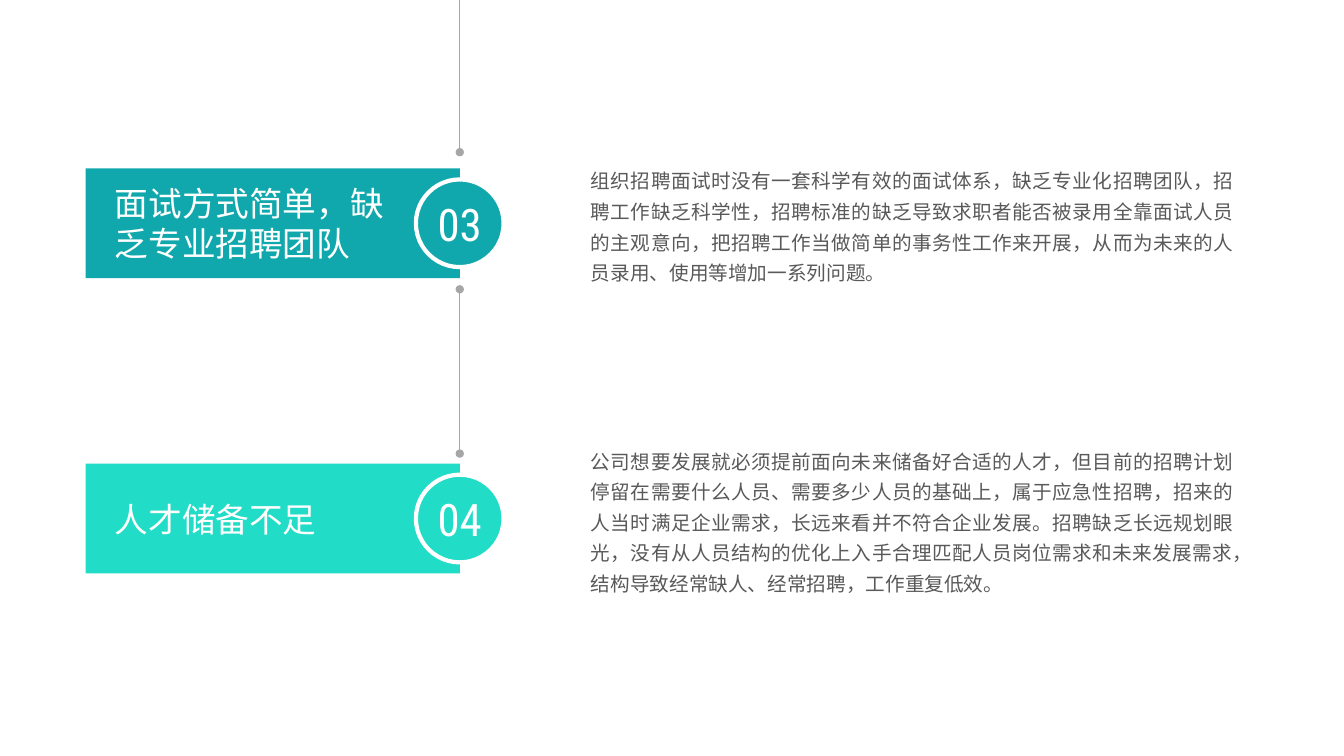
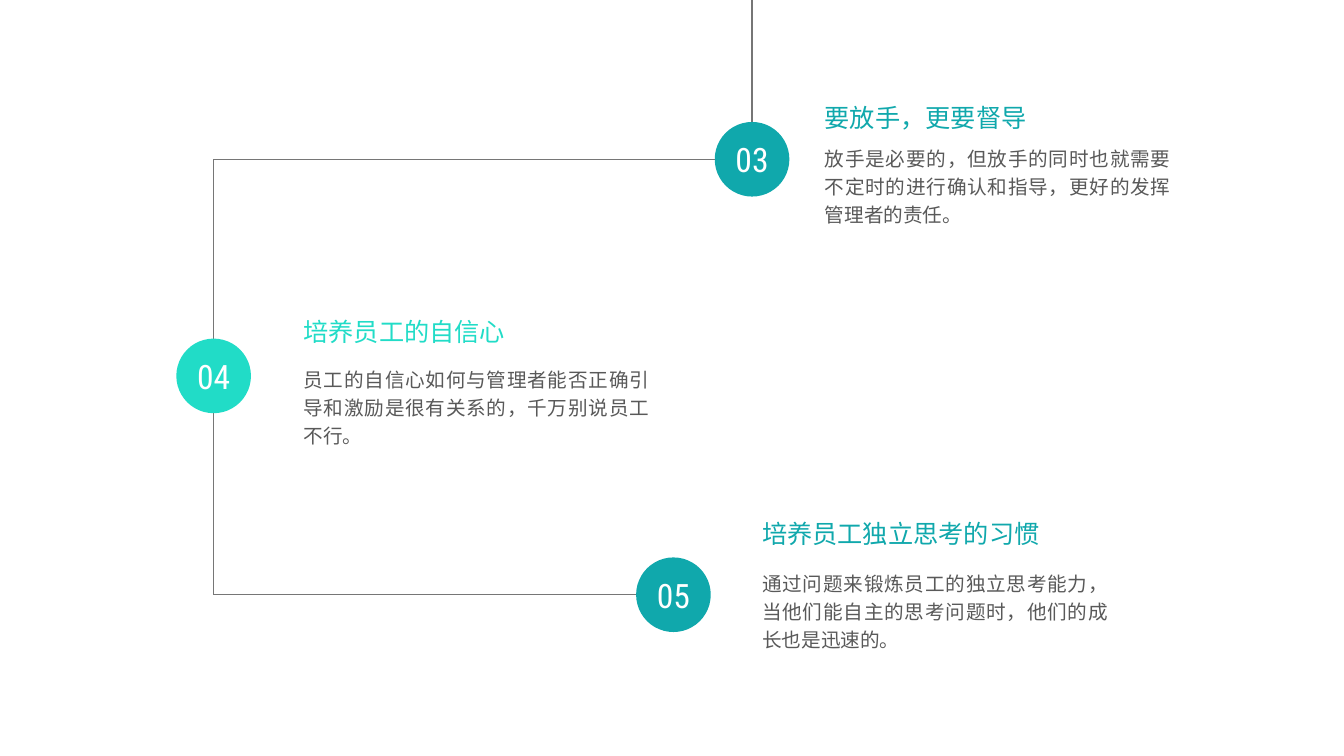
"""Builds two timeline slides about recruitment problems and staff coaching."""
from itertools import pairwise

from lxml import etree
from pptx import Presentation
from pptx import util as u
from pptx.dml.color import RGBColor
from pptx.enum import shapes, text
from pptx.oxml.ns import qn

TEAL, MINT, WHITE, INK = "10A8AC", "21DCC7", "FFFFFF", "595959"
HAN, DIGITS = "Noto Sans CJK SC", "Roboto Condensed"
LEFT, CENTER, JUSTIFY = text.PP_ALIGN.LEFT, text.PP_ALIGN.CENTER, text.PP_ALIGN.JUSTIFY
RECT, OVAL = shapes.MSO_SHAPE.RECTANGLE, shapes.MSO_SHAPE.OVAL
rgb = RGBColor.from_string

deck = Presentation()
deck.slide_width, deck.slide_height = u.Inches(13.33), u.Inches(7.5)
COLUMN, ROW = deck.slide_width / 100, deck.slide_height / 100
ASPECT = ROW / COLUMN


def place(page, left, top, width, height, words="", *, kind=None, fill=None, outline=None,
          size=14, font=HAN, color=INK, align=LEFT, spacing=None):
    """Add a text box or preset shape, measured in percent of the slide."""
    area = [round(n) for n in (left * COLUMN, top * ROW, width * COLUMN, height * ROW)]
    if kind is None:
        box = page.shapes.add_textbox(*area)
    else:
        box = page.shapes.add_shape(kind, *area)
        box.shadow.inherit = False
        box.fill.solid()
        box.fill.fore_color.rgb = rgb(fill)
        if outline:
            box.line.color.rgb = rgb(outline)
            box.line.width = u.Pt(3)
        else:
            box.line.fill.background()
    if words:
        frame = box.text_frame
        frame.word_wrap = True
        frame.margin_left = frame.margin_top = frame.margin_right = frame.margin_bottom = 0
        if kind is None:
            frame.auto_size = text.MSO_AUTO_SIZE.SHAPE_TO_FIT_TEXT
        else:
            frame.vertical_anchor = text.MSO_ANCHOR.MIDDLE
        para = frame.paragraphs[0]
        para.alignment = align
        if spacing:
            para.line_spacing = spacing
        span = para.add_run()
        span.text = words
        span.font.size = u.Pt(size)
        span.font.name = font
        span.font.color.rgb = rgb(color)
        etree.SubElement(span.font._element, qn("a:ea"), typeface=font)


def link(page, start, end, color, weight, dots=False):
    """Draw a straight line between two points given in percent of the slide."""
    ends = [round(n) for x, y in (start, end) for n in (x * COLUMN, y * ROW)]
    line = page.shapes.add_connector(shapes.MSO_CONNECTOR.STRAIGHT, *ends)
    line.line.color.rgb = rgb(color)
    line.line.width = u.Pt(weight)
    if dots:
        for tag in ("a:headEnd", "a:tailEnd"):
            etree.SubElement(line.line._get_or_add_ln(), qn(tag), type="oval")
    etree.SubElement(line._element.spPr, qn("a:effectLst"))


BADGE = dict(kind=OVAL, font=DIGITS, color=WHITE, align=CENTER)

page = deck.slides.add_slide(deck.slide_layouts[6])
BAR_LEFT, BAR_WIDTH, BAR_HEIGHT = 6.38, 27.83, 14.53
SPINE, SPINE_LENGTH, BADGE_HEIGHT = BAR_LEFT + BAR_WIDTH, 21.73, 11.6
problems = [
    ("03", TEAL, 22.27, 20.13, "面试方式简单，缺乏专业招聘团队", 10.8, 21.47, 16,
     "组织招聘面试时没有一套科学有效的面试体系，缺乏专业化招聘团队，招聘工作缺乏科学性，"
     "招聘标准的缺乏导致求职者能否被录用全靠面试人员的主观意向，把招聘工作当做简单的事务性"
     "工作来开展，从而为未来的人员录用、使用等增加一系列问题。"),
    ("04", MINT, 61.33, 60, "人才储备不足", 5.33, 58.53, 20.13,
     "公司想要发展就必须提前面向未来储备好合适的人才，但目前的招聘计划停留在需要什么人员、"
     "需要多少人员的基础上，属于应急性招聘，招来的人当时满足企业需求，长远来看并不符合企业"
     "发展。招聘缺乏长远规划眼光，没有从人员结构的优化上入手合理匹配人员岗位需求和未来发展"
     "需求，结构导致经常缺人、经常招聘，工作重复低效。"),
]
for number, hue, bar_top, spine_end, label, label_height, body_top, body_height, body in problems:
    middle = bar_top + BAR_HEIGHT / 2
    badge_width = BADGE_HEIGHT * ASPECT
    place(page, BAR_LEFT, bar_top, BAR_WIDTH, BAR_HEIGHT, kind=RECT, fill=hue)
    place(page, 8.55, middle - label_height / 2, 21.46, label_height, label,
          size=24, color=WHITE)
    place(page, SPINE - badge_width / 2, middle - BADGE_HEIGHT / 2, badge_width, BADGE_HEIGHT,
          number, fill=hue, outline=WHITE, size=32, **BADGE)
    place(page, 43.96, body_top, 47.79, body_height, body, align=JUSTIFY, spacing=1.3)
    link(page, (SPINE, spine_end - SPINE_LENGTH), (SPINE, spine_end), "A6A6A6", 0.75, dots=True)

page = deck.slides.add_slide(deck.slide_layouts[6])
BADGE_HEIGHT, TEXT_WIDTH = 9.87, 25.73
tips = [
    ("03", TEAL, (55.96, 21.07), 61.37, 13.6, 18.8, "要放手，更要督导",
     "放手是必要的，但放手的同时也就需要不定时的进行确认和指导，更好的发挥管理者的责任。"),
    ("04", MINT, (15.9, 49.73), 22.58, 41.87, 48.13, "培养员工的自信心",
     "员工的自信心如何与管理者能否正确引导和激励是很有关系的，千万别说员工不行。"),
    ("05", TEAL, (50.11, 78.67), 56.71, 68.53, 75.07, "培养员工独立思考的习惯",
     "通过问题来锻炼员工的独立思考能力，当他们能自主的思考问题时，他们的成长也是迅速的。"),
]
first, second, third = [tip[2] for tip in tips]
route = [(first[0], 0), first, (second[0], first[1]), second, (second[0], third[1]), third]
for start, end in pairwise(route):
    link(page, start, end, "767676", 1)
for number, hue, (x, y), text_left, heading_top, body_top, heading, body in tips:
    badge_width = BADGE_HEIGHT * ASPECT
    place(page, text_left, heading_top, TEXT_WIDTH, 4, heading, size=18, color=hue)
    place(page, text_left, body_top, TEXT_WIDTH, 11.2, body, align=JUSTIFY, spacing=u.Pt(20))
    place(page, x - badge_width / 2, y - BADGE_HEIGHT / 2, badge_width, BADGE_HEIGHT,
          number, fill=hue, size=24, **BADGE)

deck.save("out.pptx")
